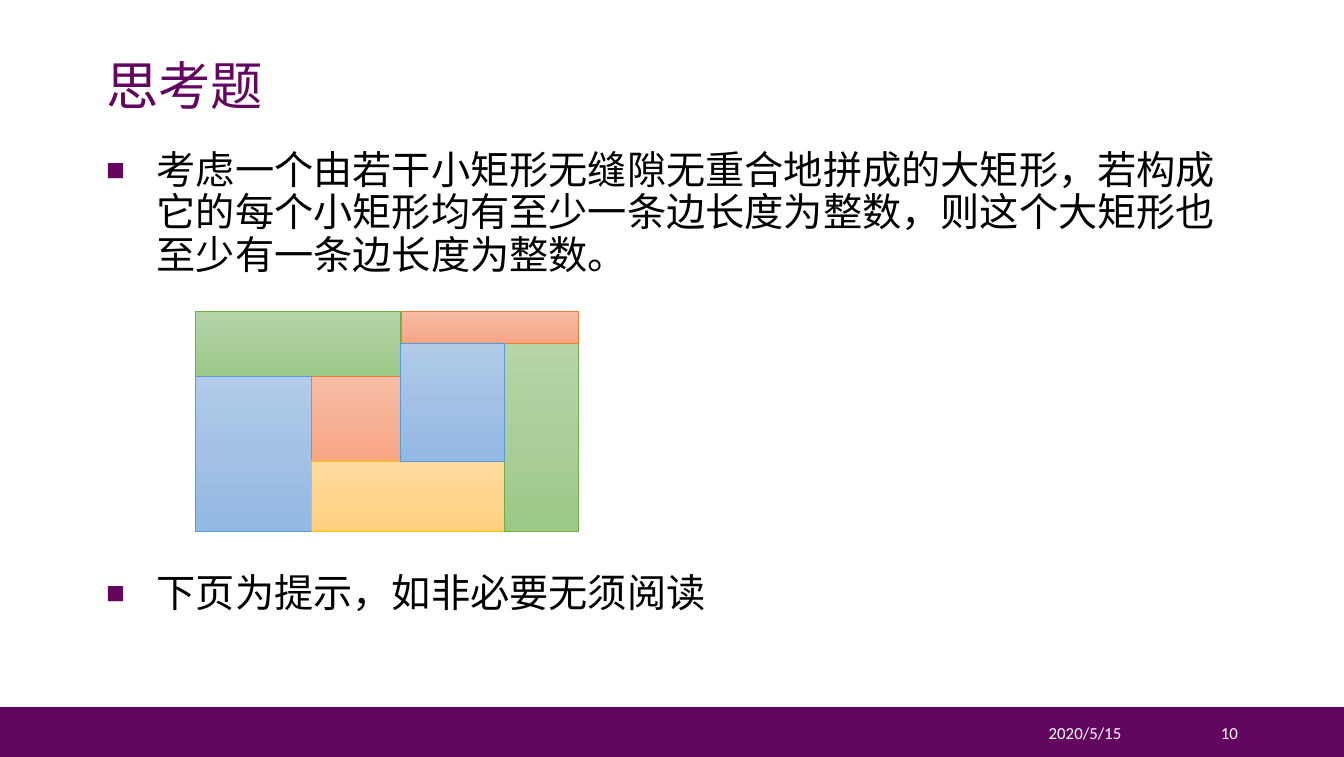
import copy
import pptx
import pptx.util
import pptx.dml.color
import pptx.enum.shapes
import pptx.enum.text
import pptx.oxml
import pptx.oxml.ns

Pt = pptx.util.Pt
RGB = pptx.dml.color.RGBColor
ALIGN = pptx.enum.text.PP_ALIGN
ANCHOR = pptx.enum.text.MSO_ANCHOR
RECT = pptx.enum.shapes.MSO_SHAPE.RECTANGLE
qn = pptx.oxml.ns.qn

# Colours
PURPLE = RGB(0x63, 0x06, 0x5F)
BLACK = RGB(0, 0, 0)
WHITE = RGB(255, 255, 255)
# Each tile style: gradient top, middle, bottom, then outline
GREEN = [RGB.from_string(c) for c in ("B5D5A7", "AACE9A", "9CC987", "70AD47")]
BLUE = [RGB.from_string(c) for c in ("B1CBE9", "A3C1E5", "93B9E4", "5B9BD5")]
CORAL = [RGB.from_string(c) for c in ("F7BDA5", "F5B196", "F8A582", "ED7D31")]
GOLD = [RGB.from_string(c) for c in ("FFDB9E", "FFD590", "FFD07C", "FFC000")]

# Content
WIDE, HIGH = 720, 405.36
CJK = "Noto Sans CJK SC"
TITLE = "思考题"
ITEMS = [
    "考虑一个由若干小矩形无缝隙无重合地拼成的大矩形，若构成它的每个小矩形"
    "均有至少一条边长度为整数，则这个大矩形也至少有一条边长度为整数。",
    "下页为提示，如非必要无须阅读",
]
GAPS = [7.5, 158.5]  # the second gap leaves room for the tiling
DATE, PAGE = "2020/5/15", "10"

# Tiling: grid lines, then tiles as (left, top, right, bottom) line numbers
COLS = [104.5, 166.9, 214.8, 270.2, 309.8]
ROWS = [166.8, 183.8, 201.6, 247.1, 284.6]
TILES = [
    (0, 0, 2, 2, GREEN),
    (0, 2, 1, 4, BLUE),
    (1, 2, 2, 3, CORAL),
    (1, 3, 3, 4, GOLD),
    (3, 1, 4, 4, GREEN),
    (2, 0, 4, 1, CORAL),
    (2, 1, 3, 3, BLUE),
]

BULLET = (
    '<a:buClr {ns}><a:srgbClr val="{color}"/></a:buClr>',
    '<a:buSzPct {ns} val="80000"/>',
    '<a:buFont {ns} typeface="Arial"/>',
    '<a:buChar {ns} char="■"/>',
)

deck = pptx.Presentation()
deck.slide_width, deck.slide_height = Pt(WIDE), Pt(HIGH)
slide = deck.slides.add_slide(deck.slide_layouts[6])


def bullet(para):
    props = para._p.get_or_add_pPr()
    props.set("marL", str(Pt(27)))
    props.set("indent", str(-Pt(27)))
    for part in BULLET:
        xml = part.format(ns=pptx.oxml.ns.nsdecls("a"), color=PURPLE)
        props.append(pptx.oxml.parse_xml(xml))


def write(lines, box, size, color, font="Arial", align=ALIGN.LEFT,
          anchor=ANCHOR.MIDDLE, lead=None, gaps=None, marks=False):
    frame = slide.shapes.add_textbox(*map(Pt, box)).text_frame
    frame.word_wrap = True
    frame.vertical_anchor = anchor
    for i, line in enumerate(lines):
        para = frame.add_paragraph() if i else frame.paragraphs[0]
        para.alignment = align
        if lead:
            para.line_spacing = lead
        if gaps:
            para.space_before = Pt(gaps[i])
        if marks:
            bullet(para)
        run = para.add_run()
        run.text = line
        run.font.size, run.font.name = Pt(size), font
        run.font.color.rgb = color
        east = pptx.oxml.parse_xml(
            f'<a:ea {pptx.oxml.ns.nsdecls("a")} typeface="{CJK}"/>')
        run.font._element.find(qn("a:latin")).addnext(east)


def block(left, top, right, bottom):
    shape = slide.shapes.add_shape(
        RECT, Pt(left), Pt(top), Pt(right - left), Pt(bottom - top))
    shape.shadow.inherit = False
    return shape


# Footer band
band = block(0, 378.72, WIDE, HIGH)
band.fill.solid()
band.fill.fore_color.rgb = PURPLE
band.line.fill.background()

# Text
write(ITEMS, (49.8, 77.1, 620.6, 286.5), 21, BLACK, anchor=ANCHOR.TOP,
      lead=0.9, gaps=GAPS, marks=True)
write([DATE], (532, 381.6, 98.6, 21.6), 9, WHITE, "Calibri", ALIGN.CENTER)
write([PAGE], (630.6, 381.6, 39.6, 21.6), 9, WHITE, "Calibri", ALIGN.RIGHT)
write([TITLE], (49.8, 28, 620.6, 39), 28, PURPLE, lead=0.9)

# Tiling
for left, top, right, bottom, (*shades, edge) in TILES:
    tile = block(COLS[left], ROWS[top], COLS[right], ROWS[bottom])
    tile.fill.gradient()
    tile.fill.gradient_angle = 270
    first = tile._element.spPr.find(".//" + qn("a:gs"))
    middle = copy.deepcopy(first)
    middle.set("pos", "50000")
    first.addnext(middle)
    for stop, shade in zip(tile.fill.gradient_stops, shades):
        stop.color.rgb = shade
    tile.line.color.rgb = edge
    tile.line.width = Pt(0.5)

deck.save("out.pptx")
